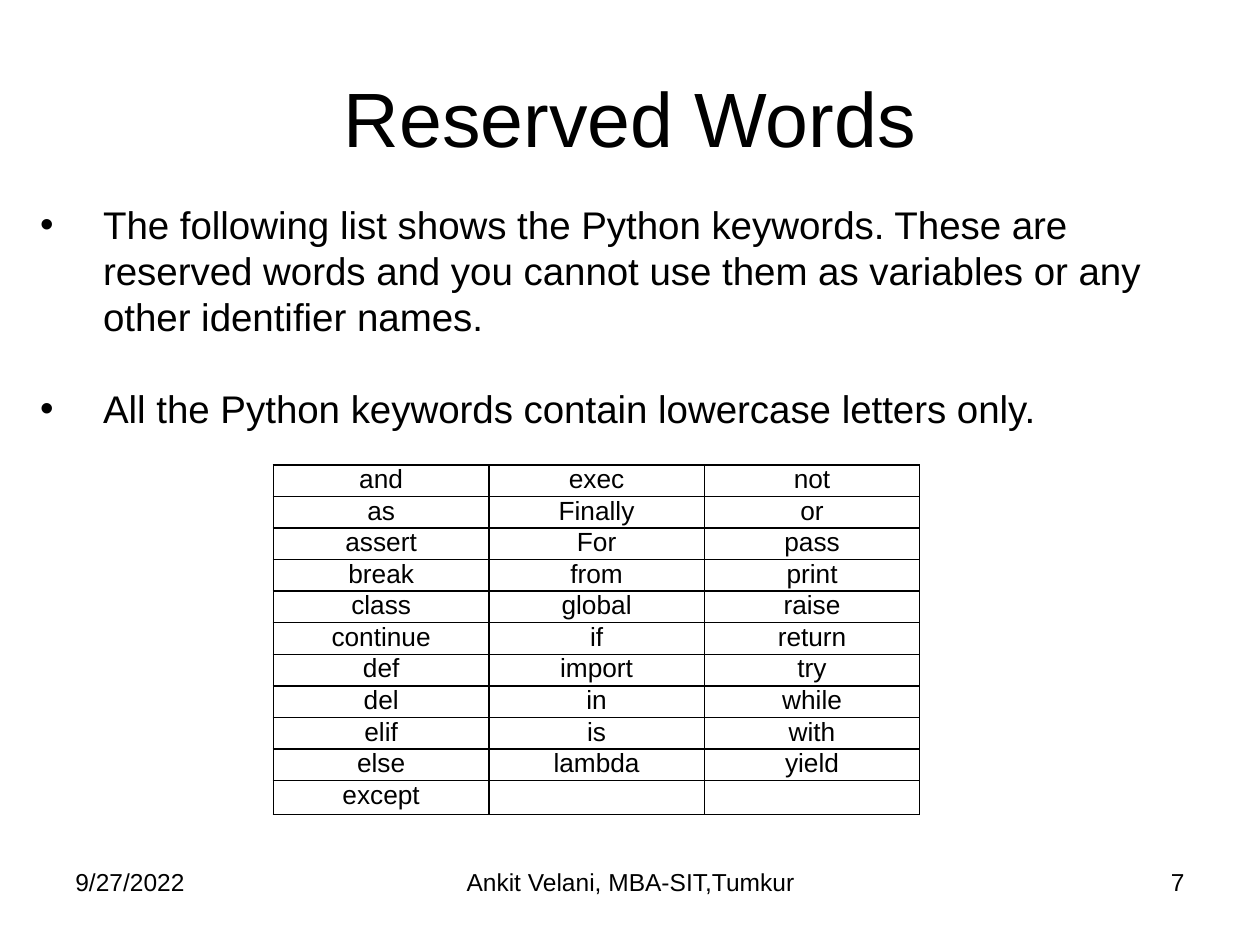
"""Build the Reserved Words slide with its table of Python keywords."""
from dataclasses import dataclass
from itertools import zip_longest

from lxml import etree
from pptx import Presentation
from pptx.dml.color import RGBColor
from pptx.enum.text import MSO_ANCHOR, PP_ALIGN
from pptx.oxml.ns import qn
from pptx.util import Inches, Pt

LEFT, CENTER, RIGHT = PP_ALIGN.LEFT, PP_ALIGN.CENTER, PP_ALIGN.RIGHT
TOP, MIDDLE = MSO_ANCHOR.TOP, MSO_ANCHOR.MIDDLE


@dataclass(frozen=True)
class Theme:
    font: str = "Arial"
    ink: str = "000000"
    paper: str = "FFFFFF"
    title: int = 44
    body: int = 22
    body_line: float = 26.3
    table: int = 15
    footer: int = 14
    border: int = 1


class SlideBuilder:
    def __init__(self, slide, theme):
        self.slide = slide
        self.theme = theme
        background = slide.background.fill
        background.solid()
        background.fore_color.rgb = RGBColor.from_string(theme.paper)

    def style(self, paragraph, size, align):
        paragraph.alignment = align
        for run in paragraph.runs:
            run.font.name = self.theme.font
            run.font.size = Pt(size)
            run.font.color.rgb = RGBColor.from_string(self.theme.ink)

    def text(self, words, box, size, align=LEFT, anchor=TOP):
        frame = self.slide.shapes.add_textbox(*map(Inches, box)).text_frame
        frame.word_wrap = True
        frame.vertical_anchor = anchor
        frame.text = words
        for paragraph in frame.paragraphs:
            self.style(paragraph, size, align)
        return frame

    def bullets(self, points, box, indent):
        frame = self.text("\n".join(points), box, self.theme.body)
        for index, paragraph in enumerate(frame.paragraphs):
            paragraph.line_spacing = Pt(self.theme.body_line)
            if index:
                paragraph.space_before = Pt(self.theme.body_line)
            properties = paragraph._p.get_or_add_pPr()
            properties.set("marL", str(Inches(indent)))
            properties.set("indent", str(-Inches(indent)))
            etree.SubElement(properties, qn("a:buFont"), typeface=self.theme.font)
            etree.SubElement(properties, qn("a:buChar"), char="•")

    def border(self, cell):
        properties = cell._tc.get_or_add_tcPr()
        for position, side in enumerate(("lnL", "lnR", "lnT", "lnB")):
            line = etree.Element(qn(f"a:{side}"), w=str(Pt(self.theme.border)))
            fill = etree.SubElement(line, qn("a:solidFill"))
            etree.SubElement(fill, qn("a:srgbClr"), val=self.theme.ink)
            properties.insert(position, line)

    def table(self, rows, left, top, column_width, row_heights):
        columns = len(rows[0])
        table = self.slide.shapes.add_table(
            len(rows), columns, Inches(left), Inches(top),
            Inches(column_width * columns), Inches(sum(row_heights))).table
        table.first_row = table.horz_banding = False
        for column in table.columns:
            column.width = Inches(column_width)
        for row, height, words in zip(table.rows, row_heights, rows):
            row.height = Inches(height)
            for cell, word in zip(row.cells, words):
                self.cell(cell, word)

    def cell(self, cell, word):
        cell.margin_left = cell.margin_right = Inches(0.01)
        cell.margin_top = cell.margin_bottom = 0
        cell.fill.background()
        self.border(cell)
        cell.text = word
        paragraph = cell.text_frame.paragraphs[0]
        self.style(paragraph, self.theme.table, CENTER)
        if not word:
            etree.SubElement(paragraph._p, qn("a:endParaRPr"),
                             sz=str(self.theme.table * 100))


POINTS = [
    "The following list shows the Python keywords. These are reserved words "
    "and you cannot use them as variables or any other identifier names. ",
    "All the Python keywords contain lowercase letters only.",
]
KEYWORD_COLUMNS = [
    "and as assert break class continue def del elif else except".split(),
    "exec Finally For from global if import in is lambda".split(),
    "not or pass print raise return try while with yield".split(),
]
FOOTERS = [
    ("9/27/2022", 0.5, 2.33, LEFT),
    ("Ankit Velani, MBA-SIT,Tumkur", 3.42, 3.17, CENTER),
    ("7", 7.17, 2.33, RIGHT),
]

presentation = Presentation()
presentation.slide_width, presentation.slide_height = Inches(10), Inches(7.5)
theme = Theme()
builder = SlideBuilder(
    presentation.slides.add_slide(presentation.slide_layouts[6]), theme)

for words, left, width, align in FOOTERS:
    builder.text(words, (left, 6.83, width, 0.52), theme.footer, align)
builder.text("Reserved Words", (0.5, 0.3, 9, 1.25), theme.title, CENTER, MIDDLE)
builder.bullets(POINTS, (0.22, 1.55, 9.57, 3.75), 0.5)
keyword_rows = list(zip_longest(*KEYWORD_COLUMNS, fillvalue=""))
builder.table(keyword_rows, 2.17, 3.69, 1.71,
              [0.24] * (len(keyword_rows) - 1) + [0.27])

presentation.save("out.pptx")
